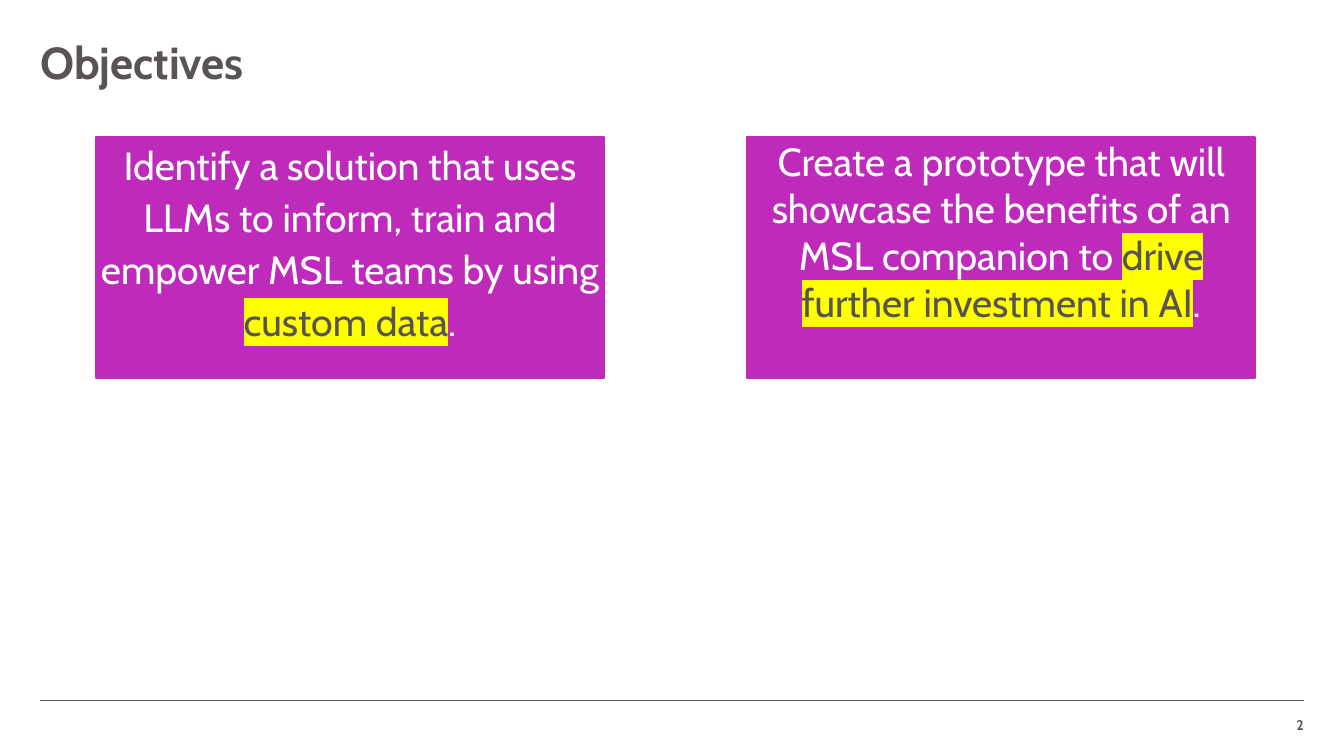
from dataclasses import dataclass
from typing import Any

import pptx
import pptx.dml.color
import pptx.enum.shapes
import pptx.enum.text
import pptx.oxml
import pptx.oxml.ns
import pptx.util

ALIGN = pptx.enum.text.PP_ALIGN
ANCHOR = pptx.enum.text.MSO_ANCHOR
SCALE = 9144


@dataclass(frozen=True)
class Theme:
    font: str = "Cabin"
    ink: str = "595454"
    card: str = "BE2BBB"
    light: str = "FFFFFF"
    mark: str = "FFFF00"
    title: int = 32
    body: int = 28
    small: int = 10


@dataclass(frozen=True)
class Box:
    left: int
    top: int
    width: int
    height: int


@dataclass(frozen=True)
class Goal:
    box: Box
    lead: str
    focus: str
    format: dict[str, Any]


THEME = Theme()
TITLE = Box(40, 40, 1253, 100)
NUMBER = Box(1258, 703, 35, 25)
RULE = Box(40, 695, 1253, 0)
GOALS = [
    Goal(
        Box(95, 136, 504, 239),
        "Identify a solution that uses LLMs to inform, train and empower MSL teams by using ",
        "custom data",
        {"line_spacing": 1.1, "space_after": pptx.util.Pt(8)},
    ),
    Goal(
        Box(741, 136, 504, 239),
        "Create a prototype that will showcase the benefits of an MSL companion to ",
        "drive further investment in AI",
        {"line_spacing": 1.0, "space_after": pptx.util.Pt(0)},
    ),
]


def px(count: int) -> int:
    return pptx.util.Emu(count * SCALE)


def rgb(code: str) -> pptx.dml.color.RGBColor:
    return pptx.dml.color.RGBColor.from_string(code)


def apply(target: Any, values: dict[str, Any]) -> None:
    for name, value in values.items():
        setattr(target, name, value)


def edges(box: Box) -> list[int]:
    return [px(box.left), px(box.top), px(box.width), px(box.height)]


def place(shape: Any, box: Box) -> None:
    apply(shape, dict(zip(("left", "top", "width", "height"), edges(box))))


def frame(shape: Any, anchor: Any, wrap: bool = True) -> Any:
    text = shape.text_frame
    apply(text, {
        "margin_left": 0, "margin_top": 0, "margin_right": 0, "margin_bottom": 0,
        "auto_size": pptx.enum.text.MSO_AUTO_SIZE.NONE,
        "vertical_anchor": anchor, "word_wrap": wrap,
    })
    return text.paragraphs[0]


def write(para: Any, text: str, size: int, color: str, bold: bool = False) -> Any:
    run = para.add_run()
    run.text = text
    apply(run.font, {"name": THEME.font, "size": pptx.util.Pt(size), "bold": bold})
    run.font.color.rgb = rgb(color)
    return run


def shade(run: Any, color: str) -> None:
    space = pptx.oxml.ns.nsdecls("a")
    mark = pptx.oxml.parse_xml(
        f'<a:highlight {space}><a:srgbClr val="{color}"/></a:highlight>'
    )
    run.font._element.find(pptx.oxml.ns.qn("a:solidFill")).addnext(mark)


def draw_goal(shape: Any, goal: Goal) -> None:
    place(shape, goal.box)
    shape.fill.solid()
    shape.fill.fore_color.rgb = rgb(THEME.card)
    shape.line.color.rgb = rgb(THEME.card)
    shape.line.width = pptx.util.Pt(1.5)
    para = frame(shape, ANCHOR.TOP)
    apply(para, {"alignment": ALIGN.CENTER, "space_before": pptx.util.Pt(12), **goal.format})
    props = para._p.get_or_add_pPr()
    props.set("marL", "0")
    props.set("indent", "0")
    props.append(pptx.oxml.parse_xml(f'<a:buNone {pptx.oxml.ns.nsdecls("a")}/>'))
    write(para, goal.lead, THEME.body, THEME.light)
    shade(write(para, goal.focus, THEME.body, THEME.ink), THEME.mark)
    write(para, ".", THEME.body, THEME.light)


def draw_rule(slide: Any, box: Box) -> None:
    line = slide.shapes.add_connector(
        pptx.enum.shapes.MSO_CONNECTOR.STRAIGHT,
        px(box.left), px(box.top), px(box.left + box.width), px(box.top + box.height),
    )
    line.line.color.rgb = rgb(THEME.ink)
    line.line.width = pptx.util.Pt(0.5)
    line._element.spPr.append(
        pptx.oxml.parse_xml(f'<a:effectLst {pptx.oxml.ns.nsdecls("a")}/>')
    )


def main() -> None:
    deck = pptx.Presentation()
    apply(deck, {"slide_width": px(1333), "slide_height": px(750)})
    slide = deck.slides.add_slide(deck.slide_layouts[1])
    draw_rule(slide, RULE)

    title = slide.shapes.title
    place(title, TITLE)
    para = frame(title, ANCHOR.TOP)
    apply(para, {"alignment": ALIGN.LEFT, "line_spacing": 0.9})
    write(para, "Objectives", THEME.title, THEME.ink, True)

    card = slide.shapes.add_shape(
        pptx.enum.shapes.MSO_SHAPE.RECTANGLE, *edges(GOALS[1].box)
    )
    card.shadow.inherit = False
    for shape, goal in zip((slide.placeholders[1], card), GOALS):
        draw_goal(shape, goal)

    number = slide.shapes.add_textbox(*edges(NUMBER))
    para = frame(number, ANCHOR.BOTTOM, False)
    para.alignment = ALIGN.RIGHT
    write(para, "2", THEME.small, THEME.ink, True)
    deck.save("out.pptx")


if __name__ == "__main__":
    main()
